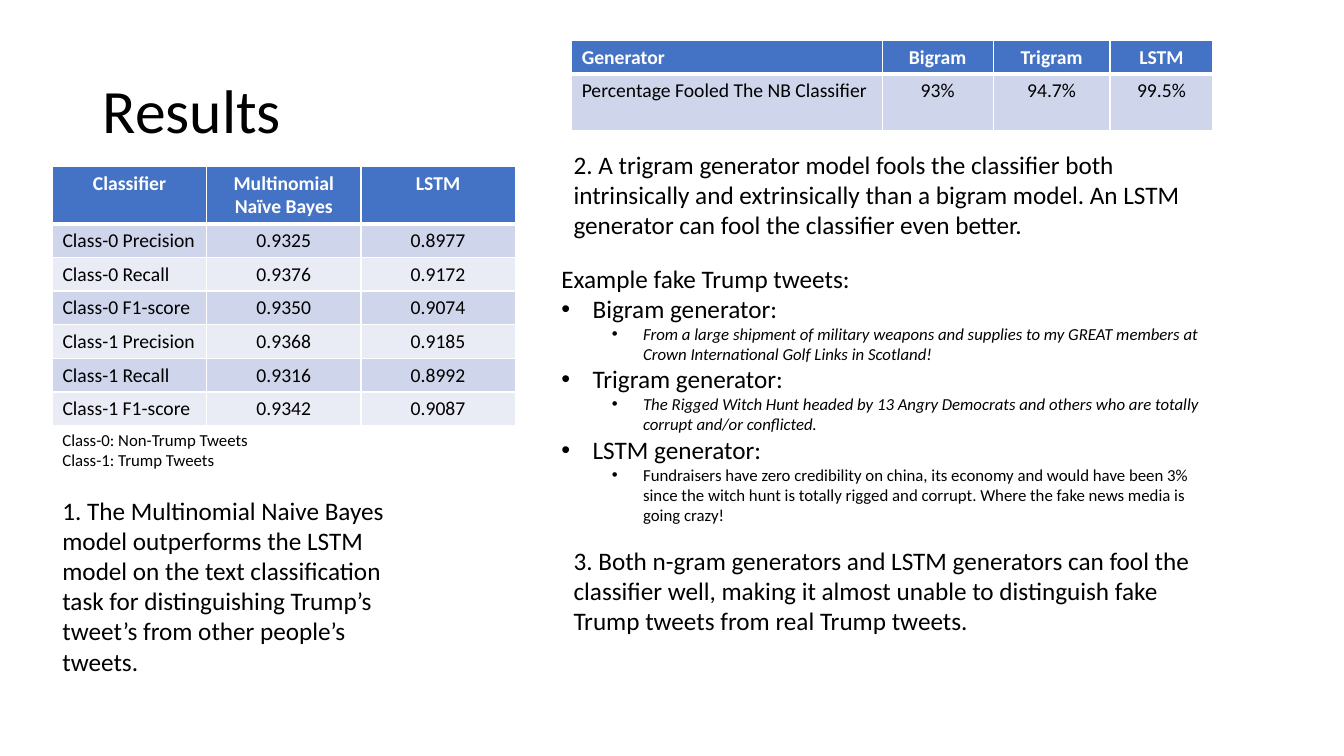
from lxml import etree
from pptx import Presentation
from pptx.dml.color import RGBColor
from pptx.enum import text
from pptx.oxml import ns
from pptx.util import Inches, Pt

FONT = "Calibri"
BLACK = RGBColor(0, 0, 0)
WHITE = RGBColor(255, 255, 255)
HEADER = RGBColor(0x44, 0x72, 0xC4)
BANDS = (RGBColor(0xCF, 0xD5, 0xEA), RGBColor(0xE9, 0xEB, 0xF5))

SCORES = [
    ("Classifier", "Multinomial Naïve Bayes", "LSTM"),
    ("Class-0 Precision", "0.9325", "0.8977"),
    ("Class-0 Recall", "0.9376", "0.9172"),
    ("Class-0 F1-score", "0.9350", "0.9074"),
    ("Class-1 Precision", "0.9368", "0.9185"),
    ("Class-1 Recall", "0.9316", "0.8992"),
    ("Class-1 F1-score", "0.9342", "0.9087"),
]
FOOLED = [
    ("Generator", "Bigram", "Trigram", "LSTM"),
    ("Percentage Fooled The NB Classifier", "93%", "94.7%", "99.5%"),
]
TWEETS = [
    ("Bigram generator:", "From a large shipment of military weapons and supplies to my GREAT "
     "members at Crown International Golf Links in Scotland!", True),
    ("Trigram generator:", "The Rigged Witch Hunt headed by 13 Angry Democrats and others who "
     "are totally corrupt and/or conflicted.", True),
    ("LSTM generator:", "Fundraisers have zero credibility on china, its economy and would have "
     "been 3% since the witch hunt is totally rigged and corrupt. Where the fake news media is "
     "going crazy!", False),
]
FINDINGS = [
    ((0.52, 4.86, 3.45, 1.92), "1. The Multinomial Naive Bayes model outperforms the LSTM model "
     "on the text classification task for distinguishing Trump’s tweet’s from other people’s "
     "tweets."),
    ((5.59, 1.43, 6.76, 1.31), "2. A trigram generator model fools the classifier both "
     "intrinsically and extrinsically than a bigram model. An LSTM generator can fool the "
     "classifier even better."),
    ((5.59, 5.36, 6.33, 1.31), "3. Both n-gram generators and LSTM generators can fool the "
     "classifier well, making it almost unable to distinguish fake Trump tweets from real Trump "
     "tweets."),
]


def write(p, words, size, color=BLACK, bold=False, italic=False):
    p.text = words
    for r in p.runs:
        font = r.font
        font.name, font.size = FONT, Pt(size)
        font.bold, font.italic = bold, italic
        font.color.rgb = color


def add_text(slide, box, lines, size):
    tf = slide.shapes.add_textbox(*map(Inches, box)).text_frame
    tf.word_wrap = True
    for i, line in enumerate(lines):
        write(tf.add_paragraph() if i else tf.paragraphs[0], line, size)
    return tf


def add_bullet(tf, words, size, level=0, italic=False):
    p = tf.add_paragraph()
    p.level = level
    write(p, words, size, italic=italic)
    pPr = p._p.get_or_add_pPr()
    pPr.set("marL", str(Inches(0.31 + 0.5 * level)))
    pPr.set("indent", str(-Inches(0.31)))
    etree.SubElement(pPr, ns.qn("a:buFont")).set("typeface", "Arial")
    etree.SubElement(pPr, ns.qn("a:buChar")).set("char", "•")


def add_border(cell, side, width):
    ln = etree.SubElement(cell._tc.get_or_add_tcPr(), ns.qn(f"a:ln{side}"), w=str(Pt(width)))
    fill = etree.SubElement(ln, ns.qn("a:solidFill"))
    etree.SubElement(fill, ns.qn("a:srgbClr")).set("val", str(WHITE))


def format_cell(cell, words, row, centered):
    heavy = {0: "B", 1: "T"}.get(row)
    for side in "LRTB":
        add_border(cell, side, 3 if side == heavy else 1)
    cell.fill.solid()
    cell.fill.fore_color.rgb = BANDS[(row - 1) % 2] if row else HEADER
    p = cell.text_frame.paragraphs[0]
    write(p, words, 14, BLACK if row else WHITE, bold=row == 0)
    p.alignment = text.PP_ALIGN.CENTER if centered else text.PP_ALIGN.LEFT


def add_grid(slide, left, top, widths, heights, rows, center_corner=False):
    table = slide.shapes.add_table(
        len(rows), len(widths), Inches(left), Inches(top),
        Inches(sum(widths)), Inches(sum(heights))).table
    for column, width in zip(table.columns, widths):
        column.width = Inches(width)
    for i, (row, height) in enumerate(zip(rows, heights)):
        table.rows[i].height = Inches(height)
        for j, words in enumerate(row):
            format_cell(table.cell(i, j), words, i, j > 0 or (i == 0 and center_corner))


def add_title(slide, words):
    tf = add_text(slide, (0.92, 0.4, 11.5, 1.45), [words], 44)
    tf.vertical_anchor = text.MSO_ANCHOR.MIDDLE
    tf.paragraphs[0].line_spacing = 0.9


def add_tweets(slide):
    tf = add_text(slide, (5.47, 2.56, 6.76, 3.03), ["Example fake Trump tweets:"], 18)
    for generator, tweet, italic in TWEETS:
        add_bullet(tf, generator, 18)
        add_bullet(tf, tweet, 12, level=1, italic=italic)


def main():
    prs = Presentation()
    prs.slide_width, prs.slide_height = Inches(13.33), Inches(7.5)
    slide = prs.slides.add_slide(prs.slide_layouts[6])
    add_title(slide, "Results")
    add_grid(slide, 0.52, 1.65, [1.53] * 3, [0.57] + [0.33] * 6, SCORES, center_corner=True)
    add_text(slide, (0.52, 4.21, 3.18, 0.5),
             ["Class-0: Non-Trump Tweets", "Class-1: Trump Tweets"], 12)
    add_grid(slide, 5.67, 0.4, [3.08, 1.1, 1.16, 1.02], [0.33, 0.56], FOOLED)
    add_tweets(slide)
    for box, finding in FINDINGS:
        add_text(slide, box, [finding], 18)
    prs.save("out.pptx")


if __name__ == "__main__":
    main()
